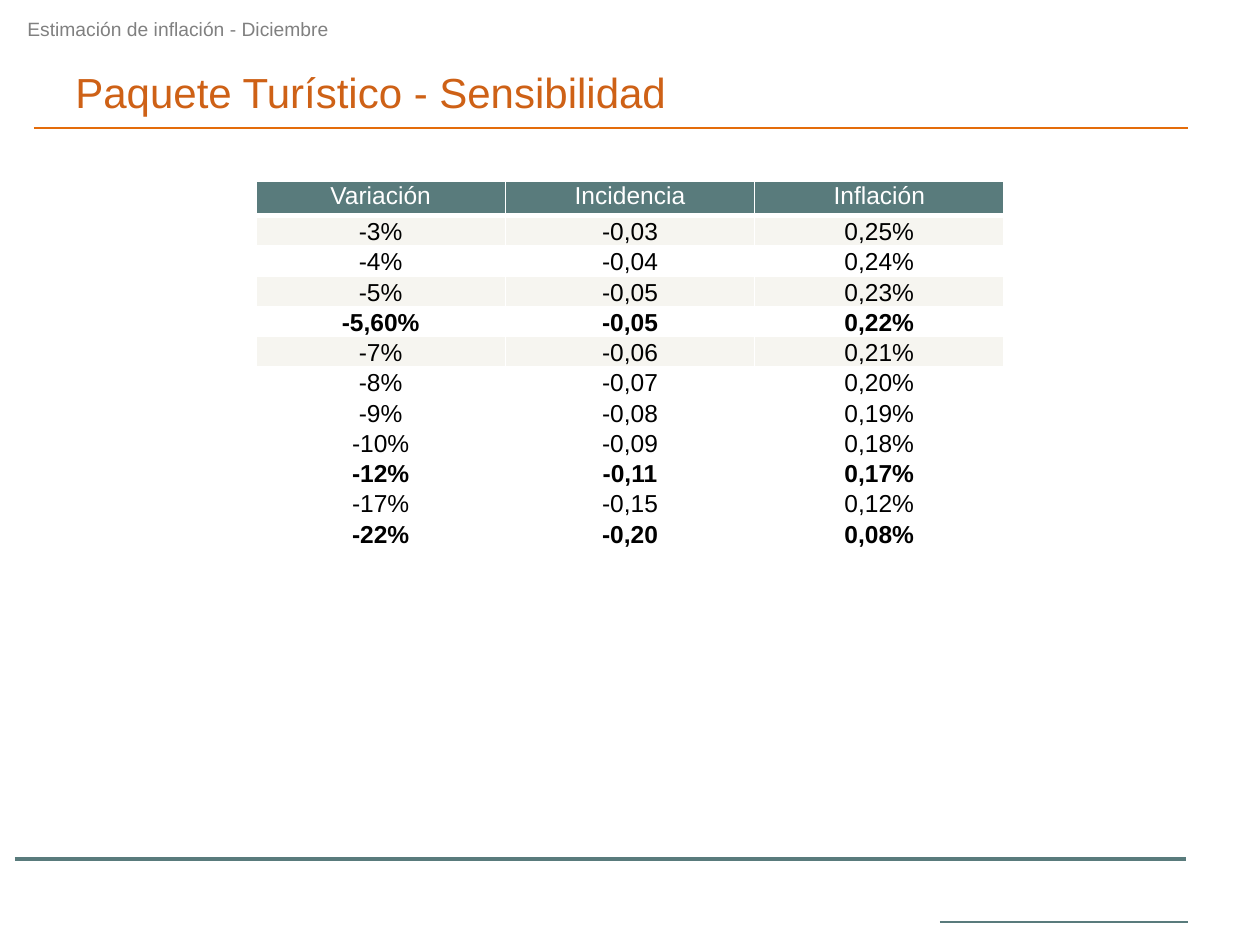
from typing import NamedTuple

from lxml import etree
from pptx import Presentation
from pptx.dml.color import RGBColor
from pptx.enum.shapes import MSO_CONNECTOR
from pptx.enum.text import MSO_ANCHOR, PP_ALIGN
from pptx.oxml.ns import qn
from pptx.util import Emu, Pt

STRAIGHT = MSO_CONNECTOR.STRAIGHT
BOTTOM = MSO_ANCHOR.BOTTOM
CENTER = PP_ALIGN.CENTER
EMU_PER_PIXEL = 914400 / 126
FONT = "Arial"
TEAL, WHITE, BLACK, BAND = "597B7C", "FFFFFF", "000000", "F6F5F0"


class Rule(NamedTuple):
    left: int
    right: int
    y: int
    color: str
    points: float


class Label(NamedTuple):
    text: str
    left: int
    top: int
    width: int
    height: int
    points: int
    color: str
    space_before: int


class Row(NamedTuple):
    values: tuple[str, str, str]
    bold: bool = False
    fill: str | None = None


RULES = [
    Rule(15, 1186, 859, TEAL, 2.75),
    Rule(940, 1188, 922, TEAL, 0.75),
    Rule(34, 1188, 128, "E46C0A", 0.75),
]
LABELS = [
    Label("Paquete Turístico - Sensibilidad", 63, 60, 1147, 89, 24, "CE6116", 3),
    Label("Estimación de inflación - Diciembre", 15, 11, 451, 64, 11, "808080", 1),
]
HEADER = ("Variación", "Incidencia", "Inflación")
ROWS = [
    Row(("-3%", "-0,03", "0,25%"), fill=BAND),
    Row(("-4%", "-0,04", "0,24%")),
    Row(("-5%", "-0,05", "0,23%"), fill=BAND),
    Row(("-5,60%", "-0,05", "0,22%"), bold=True),
    Row(("-7%", "-0,06", "0,21%"), fill=BAND),
    Row(("-8%", "-0,07", "0,20%")),
    Row(("-9%", "-0,08", "0,19%")),
    Row(("-10%", "-0,09", "0,18%")),
    Row(("-12%", "-0,11", "0,17%"), bold=True),
    Row(("-17%", "-0,15", "0,12%")),
    Row(("-22%", "-0,20", "0,08%"), bold=True),
    Row(("", "", "")),
    Row(("", "", "")),
]
TABLE_LEFT, TABLE_TOP, TABLE_WIDTH = 256, 181, 748
HEADER_HEIGHT, BODY_HEIGHT = 34, 394


def px(pixels: float) -> Emu:
    return Emu(round(pixels * EMU_PER_PIXEL))


def rgb(color: str) -> RGBColor:
    return RGBColor.from_string(color)


def set_font(paragraph, points: float, color: str, bold: bool = False) -> None:
    font = paragraph.font
    font.name, font.size, font.bold = FONT, Pt(points), bold
    font.color.rgb = rgb(color)


def draw_rule(slide, rule: Rule) -> None:
    line = slide.shapes.add_connector(
        STRAIGHT, px(rule.left), px(rule.y), px(rule.right), px(rule.y))
    line.line.color.rgb = rgb(rule.color)
    line.line.width = Pt(rule.points)
    etree.SubElement(line._element.spPr, qn("a:effectLst"))


def draw_label(slide, label: Label) -> None:
    box = slide.shapes.add_textbox(
        px(label.left), px(label.top), px(label.width), px(label.height))
    box.text_frame.word_wrap = True
    paragraph = box.text_frame.paragraphs[0]
    paragraph.text = label.text
    paragraph.space_before = Pt(label.space_before)
    set_font(paragraph, label.points, label.color)


def set_borders(cell, bottom_points: int) -> None:
    properties = cell._tc.get_or_add_tcPr()
    widths = {"lnL": 1, "lnR": 1, "lnT": 1, "lnB": bottom_points}
    for index, (edge, points) in enumerate(widths.items()):
        border = etree.Element(qn(f"a:{edge}"), w=str(Pt(points)))
        fill = etree.SubElement(border, qn("a:solidFill"))
        etree.SubElement(fill, qn("a:srgbClr"), val=WHITE)
        properties.insert(index, border)


def fill_cell(cell, text: str, color: str, row: Row, is_header: bool) -> None:
    side = px(1) if is_header else 0
    cell.margin_left = cell.margin_right = cell.margin_top = side
    cell.margin_bottom = px(6) if is_header else 0
    cell.vertical_anchor = BOTTOM
    if row.fill:
        cell.fill.solid()
        cell.fill.fore_color.rgb = rgb(row.fill)
    else:
        cell.fill.background()
    paragraph = cell.text_frame.paragraphs[0]
    paragraph.text = text
    paragraph.alignment = CENTER
    set_font(paragraph, 14, color, row.bold)
    set_borders(cell, 3 if is_header else 1)


def draw_table(slide) -> None:
    rows = [Row(HEADER, fill=TEAL), *ROWS]
    table = slide.shapes.add_table(
        len(rows), len(HEADER), px(TABLE_LEFT), px(TABLE_TOP),
        px(TABLE_WIDTH), px(HEADER_HEIGHT + BODY_HEIGHT)).table
    table.first_row = table.horz_banding = False
    for index, row in enumerate(rows):
        is_header = index == 0
        table.rows[index].height = px(
            HEADER_HEIGHT if is_header else BODY_HEIGHT / len(ROWS))
        for column, text in enumerate(row.values):
            color = WHITE if is_header else BLACK
            fill_cell(table.cell(index, column), text, color, row, is_header)


presentation = Presentation()
presentation.slide_width, presentation.slide_height = px(1260), px(945)
slide = presentation.slides.add_slide(presentation.slide_layouts[6])

# Rules, sensitivity table, headings
for rule in RULES:
    draw_rule(slide, rule)
draw_table(slide)
for label in LABELS:
    draw_label(slide, label)

presentation.save("out.pptx")
